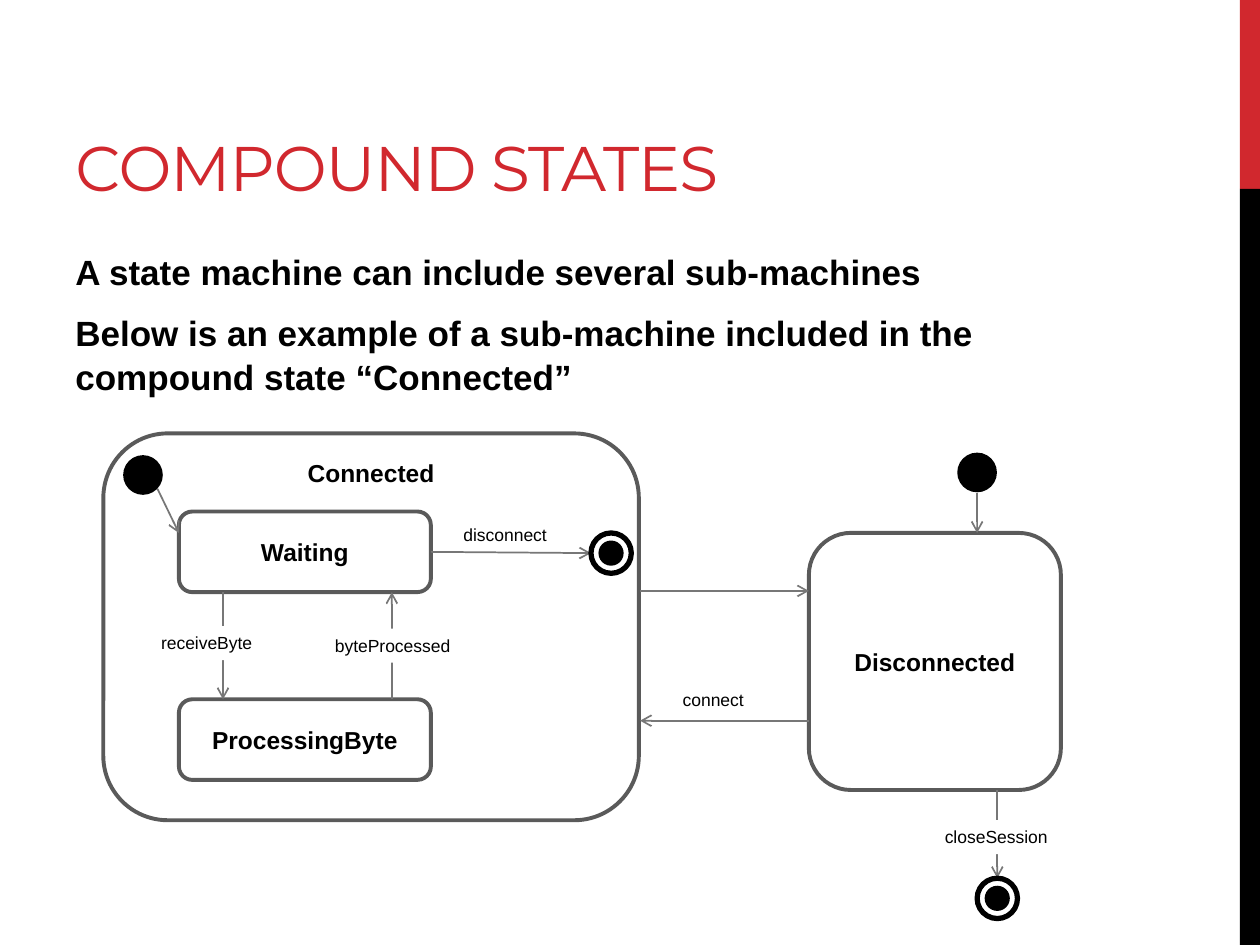
import pptx
import pptx.util
import pptx.dml.color
import pptx.enum.shapes
import pptx.enum.text
import pptx.oxml
import pptx.oxml.ns
import lxml.etree

Pt = pptx.util.Pt
MSO = pptx.enum.shapes.MSO_SHAPE
ANCHOR = pptx.enum.text.MSO_ANCHOR
ALIGN = pptx.enum.text.PP_ALIGN
qn = pptx.oxml.ns.qn

THEME = {
    "red": "D1282E", "black": "000000", "white": "FFFFFF",
    "border": "5A5A5A", "arrow": "777777",
    "title_font": "Montserrat", "font": "Arial",
    "title": 36, "body": 20, "state": 14, "label": 10,
    "border_width": 2.25, "arrow_width": 1, "ring_width": 3,
}
COLUMNS, ROWS = 100, 75

TITLE = "COMPOUND STATES"
BODY = [
    "A state machine can include several sub-machines",
    "Below is an example of a sub-machine included in the compound state “Connected”",
]
BARS = [((98.4, 0, 1.6, 15), "red"), ((98.4, 15, 1.6, 60), "black")]
STATES = [
    ("Connected", (8.2, 34.4, 42.5, 30.7), ANCHOR.TOP),
    ("Waiting", (14.2, 40.6, 20, 6.4), ANCHOR.MIDDLE),
    ("ProcessingByte", (14.2, 55.5, 20, 6.4), ANCHOR.MIDDLE),
    ("Disconnected", (64.2, 42.3, 20, 20.4), ANCHOR.MIDDLE),
]
INITIAL_NODES = [(11.35, 37.7), (77.55, 37.5)]
FINAL_NODES = [(48.5, 43.9), (79.15, 71.3)]
INITIAL_SIZE, RING_SIZE, DOT_SIZE = 3.15, 3.2, 2
ARROWS = [
    ((17.7, 47), (17.7, 55.5), None),
    ((31.1, 55.5), (31.1, 47), None),
    ((34.2, 43.8), (46.9, 43.9), ("Waiting", 3)),
    ((50.8, 46.9), (64.2, 46.9), None),
    ((64.2, 57.2), (50.8, 57.2), None),
    ((77.55, 39.1), (77.55, 42.3), None),
    ((79.15, 62.7), (79.15, 69.7), None),
    ((12.5, 38.8), (14.2, 42.3), None),
]
LABELS = [
    ("receiveByte", (11.8, 49.7, 10.6, 2.7), True),
    ("byteProcessed", (25.6, 49.9, 12.6, 2.7), True),
    ("disconnect", (35.8, 41.1, 8.6, 2.7), False),
    ("connect", (53.2, 54.2, 8.6, 2.7), False),
    ("closeSession", (74, 65.1, 11.5, 2.7), True),
]

prs = pptx.Presentation()
prs.slide_width = pptx.util.Inches(10)
prs.slide_height = pptx.util.Inches(7.5)
s = prs.slides.add_slide(prs.slide_layouts[6])


def rgb(name):
    return pptx.dml.color.RGBColor.from_string(THEME[name])


def grid(*values):
    steps = (prs.slide_width / COLUMNS, prs.slide_height / ROWS)
    return [round(v * steps[i % 2]) for i, v in enumerate(values)]


def shape(kind, box, fill=None, line=None, width=None):
    sp = s.shapes.add_shape(kind, *grid(*box))
    sp.shadow.inherit = False
    if fill:
        sp.fill.solid()
        sp.fill.fore_color.rgb = rgb(fill)
    else:
        sp.fill.background()
    if line:
        sp.line.color.rgb = rgb(line)
        sp.line.width = Pt(THEME[width])
    else:
        sp.line.fill.background()
    return sp


def circle(center, size, **style):
    x, y = center
    return shape(MSO.OVAL, (x - size / 2, y - size / 2, size, size), **style)


def write(sp, lines, size, color="black", font="font", bold=False,
          align=ALIGN.LEFT, anchor=ANCHOR.TOP, wrap=True):
    tf = sp.text_frame
    tf.word_wrap = wrap
    tf.vertical_anchor = anchor
    tf.text = "\n".join(lines)
    for p in tf.paragraphs:
        p.alignment = align
        p.font.name = THEME[font]
        p.font.size = Pt(THEME[size])
        p.font.bold = bold
        p.font.color.rgb = rgb(color)
    return tf


def arrow(start, end, joint, states):
    c = s.shapes.add_connector(pptx.enum.shapes.MSO_CONNECTOR.STRAIGHT,
                               *grid(*start, *end))
    if joint:
        c.begin_connect(states[joint[0]], joint[1])
    c.line.color.rgb = rgb("arrow")
    c.line.width = Pt(THEME["arrow_width"])
    lxml.etree.SubElement(c.line._get_or_add_ln(), qn("a:tailEnd"), type="arrow")
    lxml.etree.SubElement(c._element.spPr, qn("a:effectLst"))


for box, color in BARS:
    shape(MSO.RECTANGLE, box, color)

title = s.shapes.add_textbox(*grid(5, 1.7, 75.8, 15))
tf = write(title, [TITLE], "title", "red", "title_font", anchor=ANCHOR.BOTTOM)
tf.paragraphs[0].runs[0].font._element.set("spc", "-60")

body = s.shapes.add_textbox(*grid(5, 19.2, 83.3, 12.8))
tf = write(body, BODY, "body", bold=True)
for i, p in enumerate(tf.paragraphs):
    p.line_spacing = 1.05
    p.space_before = Pt(4 if i else 0)
    p.space_after = Pt(6)

states = {}
for name, box, anchor in STATES:
    states[name] = shape(MSO.ROUNDED_RECTANGLE, box, "white", "border", "border_width")
    write(states[name], [name], "state", bold=True, align=ALIGN.CENTER, anchor=anchor)

for start, end, joint in ARROWS:
    arrow(start, end, joint, states)

for text, box, filled in LABELS:
    if filled:
        sp = shape(MSO.RECTANGLE, box, "white")
    else:
        sp = s.shapes.add_textbox(*grid(*box))
    write(sp, [text], "label", wrap=False)

for center in INITIAL_NODES:
    circle(center, INITIAL_SIZE, fill="black")
for center in FINAL_NODES:
    circle(center, RING_SIZE, line="black", width="ring_width")
    circle(center, DOT_SIZE, fill="black")

prs.save("out.pptx")
